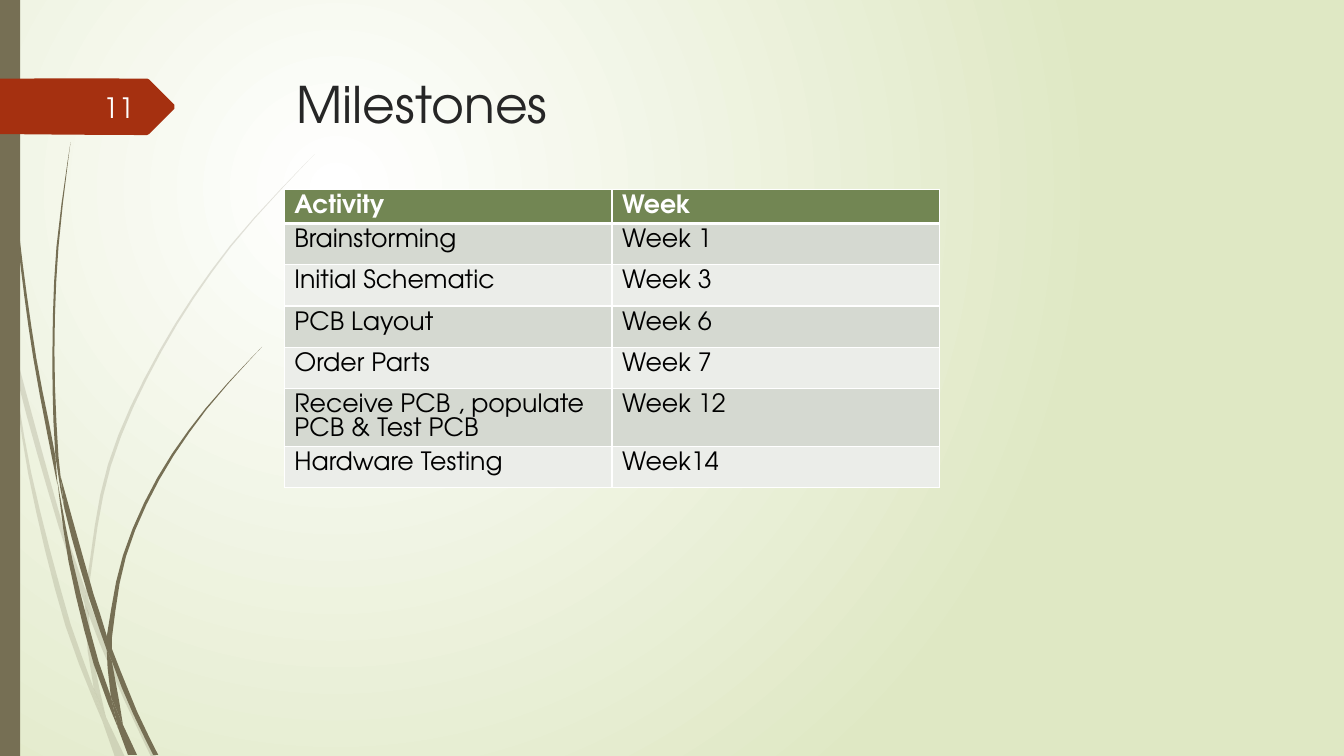
"""Build the Milestones slide: a schedule table beside curved grass blades."""
from dataclasses import dataclass
from math import ceil, dist, hypot

from lxml import etree
from pptx import Presentation
from pptx.dml.color import RGBColor
from pptx.enum import shapes, text
from pptx.oxml import ns
from pptx.util import Inches, Pt

TITLE = "Milestones"
PAGE_NUMBER = "11"
SCHEDULE = [
    ("Activity", "Week"),
    ("Brainstorming", "Week 1"),
    ("Initial Schematic", "Week 3"),
    ("PCB Layout", "Week 6"),
    ("Order Parts", "Week 7"),
    ("Receive PCB , populate PCB & Test PCB", "Week 12"),
    ("Hardware Testing", "Week14"),
]
PALE_BLADES = [
    [(0.11, 3.5), (0.09, 3.22), (0, 2.82), (0, 2.99), (0.1, 3.44)],
    [(0.58, 5.22), (0.84, 5.99), (0.85, 5.86), (0.62, 5.2), (0.14, 3.45), (0.17, 3.76)],
    [(0.88, 5.96), (0.88, 6.1), (1.23, 6.94), (1.5, 7.51), (1.55, 7.51), (1.27, 6.92)],
    [(0.93, 6.83), (0.7, 6.19), (0.31, 4.69), (0.11, 3.5), (0.28, 4.7), (0.65, 6.21),
     (1.01, 7.14)],
    [(0.84, 5.99), (0.87, 6.46), (0.93, 6.83), (1.05, 7.11), (0.91, 6.46), (0.88, 6.08)],
    [(0.88, 5.84), (1.1, 4.62), (1.6, 3.49), (2.29, 2.45), (3.12, 1.53), (2.28, 2.44),
     (1.58, 3.48), (1.07, 4.61), (0.85, 5.84), (0.84, 5.99), (0.88, 6.1)],
    [(0.93, 6.83), (1.01, 7.14), (1.14, 7.51), (1.24, 7.51), (1.05, 7.11)],
]
DARK_BLADES = [
    [(0.04, 0), (0.07, 1.1), (0.17, 2.33), (0.33, 3.55), (0.57, 4.81), (0.55, 4.53),
     (0.36, 3.55), (0.19, 2.32), (0.08, 1.09)],
    [(0.88, 5.92), (1.06, 6.45), (1.06, 6.31), (0.93, 5.9), (0.6, 4.72), (0.64, 5.05)],
    [(1.1, 6.41), (1.11, 6.56), (1.32, 7.08), (1.52, 7.49), (1.57, 7.49), (1.36, 7.06)],
    [(1.1, 6.91), (0.98, 6.57), (0.72, 5.56), (0.57, 4.77), (0.68, 5.57), (0.93, 6.59),
     (1.17, 7.22)],
    [(0.64, 5.05), (0.58, 4.53), (0.54, 3.49), (0.58, 2.45), (0.7, 1.41), (0.56, 2.45),
     (0.52, 3.49), (0.55, 4.53)],
    [(1.11, 6.33), (1.25, 5.52), (1.58, 4.76), (2.05, 4.06), (2.6, 3.44), (2.04, 4.05),
     (1.56, 4.74), (1.22, 5.51), (1.06, 6.31), (1.06, 6.45), (1.11, 6.56)],
    [(1.06, 6.45), (1.1, 6.91), (1.22, 7.19), (1.11, 6.56)],
    [(1.1, 6.91), (1.17, 7.22), (1.27, 7.49), (1.36, 7.49), (1.22, 7.19)],
]
NUMBER_TAG = [(1.73, 1.08), (1.48, 1.33), (1.46, 1.34), (0, 1.33), (0, 0.78),
              (1.46, 0.78), (1.48, 0.79), (1.73, 1.04)]


@dataclass(frozen=True)
class Theme:
    font: str = "TeX Gyre Adventor"
    glow: str = "FFFFFF"
    backdrop: str = "DFE8C4"
    grass: str = "766F54"
    tag: str = "A53010"
    title: str = "262626"
    number: str = "FEFFFF"
    header: str = "728653"
    header_text: str = "FFFFFF"
    body_text: str = "000000"
    bands: tuple = ("D5D9D1", "EBEDE9")
    border: str = "FFFFFF"
    title_size: int = 36
    number_size: int = 20
    table_size: int = 18
    table_leading: int = 17


THEME = Theme()


def rgb(value):
    return RGBColor.from_string(value)


def write(frame, words, size, color, bold=False, align=None, leading=None):
    frame.word_wrap = True
    para = frame.paragraphs[0]
    para.alignment = align
    if leading:
        para.line_spacing = Pt(leading)
    span = para.add_run()
    span.text = words
    span.font.name = THEME.font
    span.font.size = Pt(size)
    span.font.bold = bold
    span.font.color.rgb = rgb(color)


def paint(shape, color, opacity=100):
    shape.shadow.inherit = False
    shape.line.fill.background()
    shape.fill.solid()
    shape.fill.fore_color.rgb = rgb(color)
    if opacity < 100:
        tint = shape.element.find(".//" + ns.qn("a:srgbClr"))
        etree.SubElement(tint, ns.qn("a:alpha"), val=str(opacity * 1000))


def tangent(before, here, after):
    """Return the unit direction at an anchor, or zero at a sharp corner."""
    ax, ay = here[0] - before[0], here[1] - before[1]
    bx, by = after[0] - here[0], after[1] - here[1]
    if ax * bx + ay * by < 0.8 * hypot(ax, ay) * hypot(bx, by):
        return 0, 0
    length = hypot(ax + bx, ay + by)
    return (ax + bx) / length, (ay + by) / length


def smooth(anchors, spacing=0.4):
    """Return points along a closed curve through the anchors."""
    following = anchors[1:] + anchors[:1]
    slopes = list(map(tangent, anchors[-1:] + anchors[:-1], anchors, following))
    points = []
    for start, end, leave, arrive in zip(anchors, following, slopes, slopes[1:] + slopes[:1]):
        reach = dist(start, end) / 3
        steps = ceil(3 * reach / spacing) if any(leave + arrive) else 1
        for t in (step / steps for step in range(steps)):
            points.append(tuple(
                (1 - t) ** 3 * a + 3 * (1 - t) ** 2 * t * (a + reach * p)
                + 3 * (1 - t) * t ** 2 * (b - reach * q) + t ** 3 * b
                for a, b, p, q in zip(start, end, leave, arrive)))
    return points


def add_outline(page, anchors, color, opacity=100):
    points = [(Inches(x), Inches(y)) for x, y in smooth(anchors)]
    builder = page.shapes.build_freeform(*points[0])
    builder.add_line_segments(points[1:], close=True)
    paint(builder.convert_to_shape(), color, opacity)


def add_label(page, place, words, anchor=text.MSO_ANCHOR.TOP, **style):
    box = page.shapes.add_textbox(*map(Inches, place))
    box.text_frame.vertical_anchor = anchor
    write(box.text_frame, words, **style)


def add_border(cell, side, width):
    props = cell._tc.get_or_add_tcPr()
    line = etree.SubElement(props, ns.qn("a:ln" + side), w=str(Pt(width)))
    fill = etree.SubElement(line, ns.qn("a:solidFill"))
    etree.SubElement(fill, ns.qn("a:srgbClr"), val=THEME.border)


def add_schedule(page):
    heights = [0.31] + [0.41] * (len(SCHEDULE) - 1)
    place = map(Inches, (2.82, 1.88, 6.5, sum(heights)))
    table = page.shapes.add_table(len(SCHEDULE), len(SCHEDULE[0]), *place).table
    for i, entries in enumerate(SCHEDULE):
        table.rows[i].height = Inches(heights[i])
        head = i == 0
        ink = THEME.header_text if head else THEME.body_text
        for j, words in enumerate(entries):
            cell = table.cell(i, j)
            write(cell.text_frame, words, THEME.table_size, ink,
                  bold=head, leading=THEME.table_leading)
            for side in "LRTB":
                add_border(cell, side, 3 if (i, side) in ((0, "B"), (1, "T")) else 1)
            cell.fill.solid()
            cell.fill.fore_color.rgb = rgb(THEME.header if head else THEME.bands[(i - 1) % 2])


def add_backdrop(page):
    fill = page.background.fill
    fill.gradient()
    for stop, color in zip(fill.gradient_stops, (THEME.glow, THEME.backdrop)):
        stop.color.rgb = rgb(color)
    gradient = page.element.find(".//" + ns.qn("a:gradFill"))
    gradient.remove(gradient.find(ns.qn("a:lin")))
    circle = etree.SubElement(gradient, ns.qn("a:path"), path="circle")
    etree.SubElement(circle, ns.qn("a:fillToRect"), l="50000", t="50000", r="100000", b="100000")


deck = Presentation()
deck.slide_width, deck.slide_height = Inches(13.33), Inches(7.5)
page = deck.slides.add_slide(deck.slide_layouts[6])
add_backdrop(page)
for blades, opacity in ((PALE_BLADES, 20), (DARK_BLADES, 100)):
    for blade in blades:
        add_outline(page, blade, THEME.grass, opacity)
edge = page.shapes.add_shape(shapes.MSO_SHAPE.RECTANGLE, 0, 0, Inches(0.2), deck.slide_height)
paint(edge, THEME.grass)
add_outline(page, NUMBER_TAG, THEME.tag)
add_label(page, (2.84, 0.68, 9.75, 1.4), TITLE, size=THEME.title_size, color=THEME.title)
add_schedule(page)
add_label(page, (0.58, 0.86, 0.85, 0.4), PAGE_NUMBER, anchor=text.MSO_ANCHOR.MIDDLE,
          size=THEME.number_size, color=THEME.number, align=text.PP_ALIGN.RIGHT)
deck.save("out.pptx")
